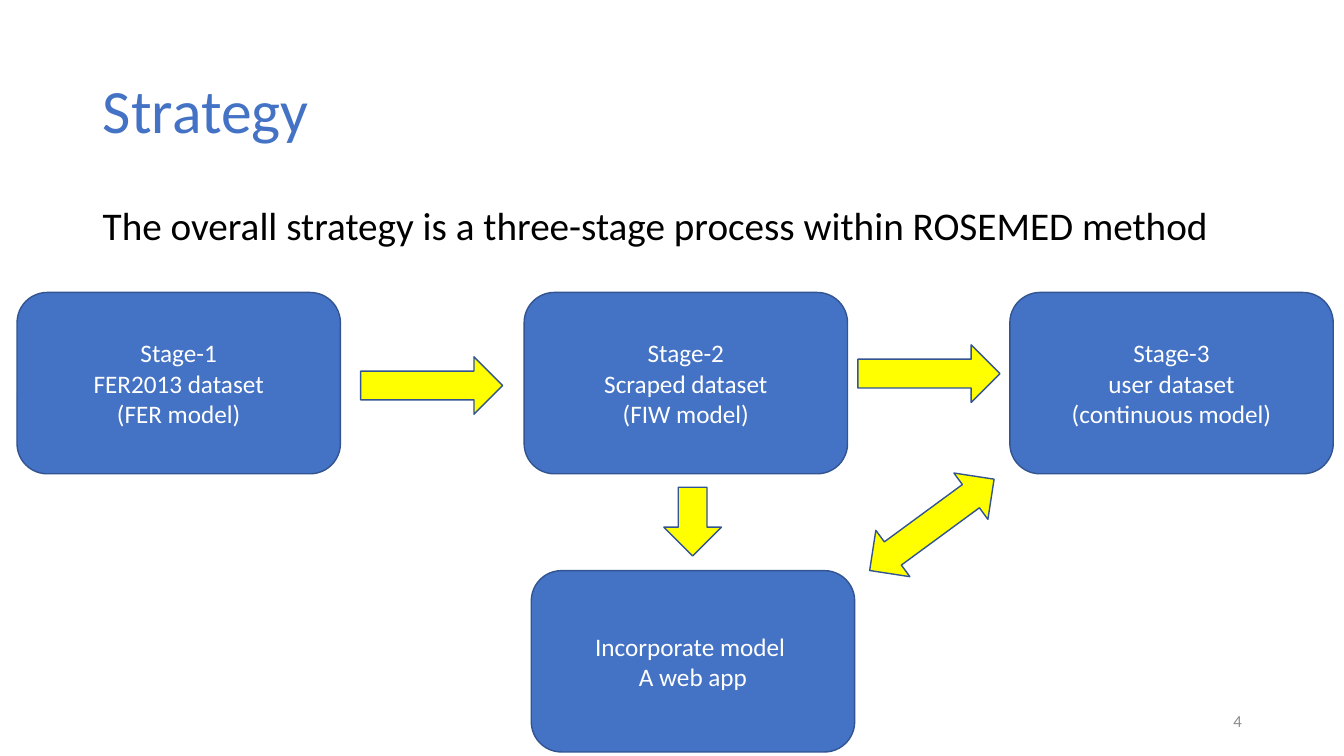
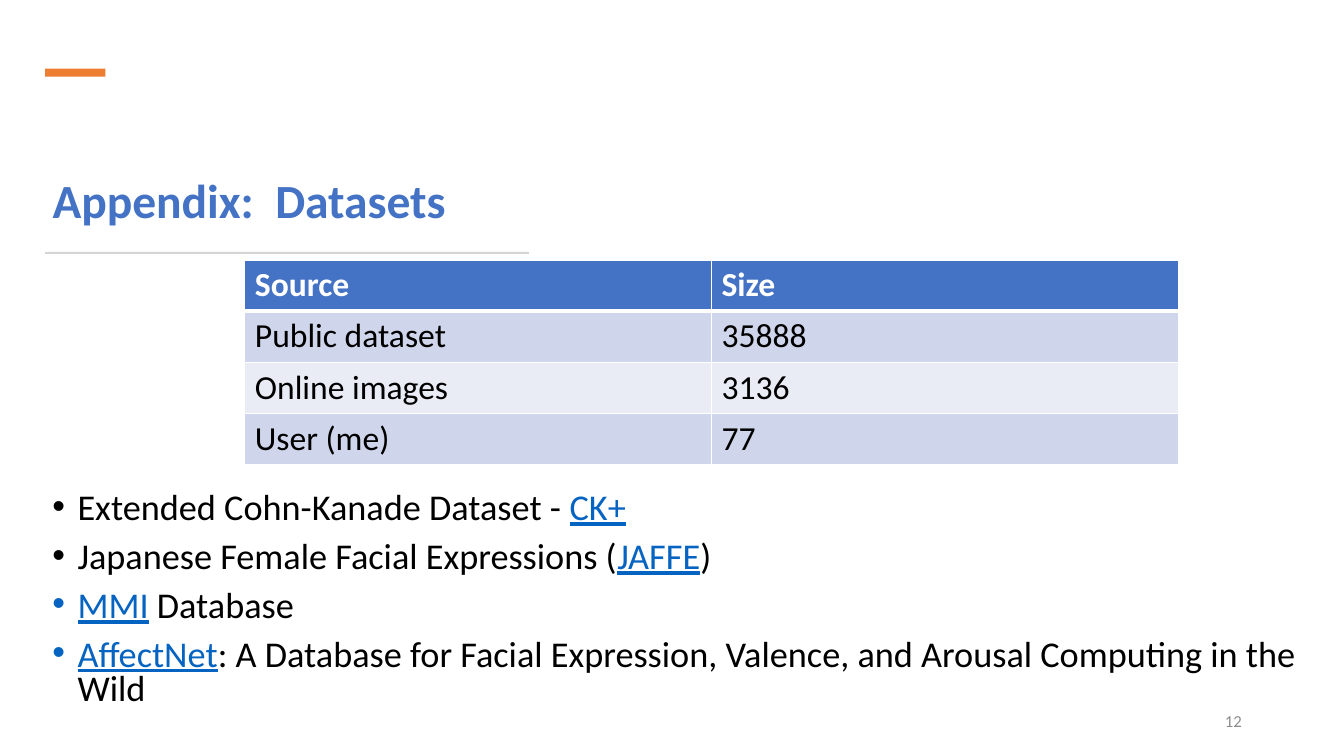
import pptx
import pptx.util
import pptx.dml.color
import pptx.enum.shapes
import pptx.enum.text
import pptx.oxml

Cm = pptx.util.Cm
Pt = pptx.util.Pt
Kind = pptx.enum.shapes.MSO_SHAPE
Align = pptx.enum.text.PP_ALIGN
Anchor = pptx.enum.text.MSO_ANCHOR

BLUE, EDGE, YELLOW, ORANGE = "4472C4", "325491", "FFFF00", "ED7D31"
BLACK, WHITE, GREY, RULE, LINK = "000000", "FFFFFF", "8C8C8C", "D5D5D5", "0563C1"
DARK, LIGHT = "CFD5EA", "E9EBF5"
NS = "http://schemas.openxmlformats.org/drawingml/2006/main"


def hue(code):
    return pptx.dml.color.RGBColor.from_string(code)


def write(frame, lines, font, par, body):
    for key, val in body.items():
        setattr(frame, key, val)
    for i, line in enumerate(lines):
        para = frame.add_paragraph() if i else frame.paragraphs[0]
        for key, val in par.items():
            setattr(para, key, val)
        for text, tint, under in line:
            run = para.add_run()
            run.text = text
            run.font.name = "Calibri"
            run.font.color.rgb = hue(tint)
            run.font.underline = under
            for key, val in font.items():
                setattr(run.font, key, val)


deck = pptx.Presentation()
deck.slide_width, deck.slide_height = Cm(33.87), Cm(19.05)
fixed = {"word_wrap": True, "auto_size": pptx.enum.text.MSO_AUTO_SIZE.NONE}

pages = [
    ("Strategy", "4", (2.34, 1.02, 29.21, 3.68), 44, False, Anchor.MIDDLE),
    ("Appendix:  Datasets", "12", (1.07, 2.87, 12.34, 3.02), 34, True, Anchor.BOTTOM),
]
slides = []
for name, num, spot, size, bold, hold in pages:
    slide = deck.slides.add_slide(deck.slide_layouts[5])
    title = slide.shapes.title
    title.left, title.top, title.width, title.height = map(Cm, spot)
    write(title.text_frame, [[(name, BLUE, False)]],
          {"size": Pt(size), "bold": bold},
          {"alignment": Align.LEFT, "line_spacing": 0.9},
          {**fixed, "vertical_anchor": hold})
    foot = slide.shapes.add_textbox(*map(Cm, (23.93, 17.65, 7.62, 1.02)))
    write(foot.text_frame, [[(num, GREY, False)]], {"size": Pt(12)},
          {"alignment": Align.RIGHT}, {**fixed, "vertical_anchor": Anchor.MIDDLE})
    slides.append(slide)
plan, data = slides

lead = plan.shapes.add_textbox(*map(Cm, (2.34, 5.08, 29.21, 2.29)))
write(lead.text_frame,
      [[("The overall strategy is a three-stage process within ROSEMED method", BLACK, False)]],
      {"size": Pt(28)}, {"line_spacing": 0.9, "space_before": Pt(10)}, fixed)

stages = [
    (0.43, 7.37, ["Stage-1", "FER2013 dataset", "(FER model)"]),
    (13.21, 7.37, ["Stage-2", "Scraped dataset", "(FIW model)"]),
    (25.45, 7.37, ["Stage-3", "user dataset", "(continuous model)"]),
    (13.39, 14.38, ["Incorporate model ", "A web app"]),
]
arrows = [
    (Kind.RIGHT_ARROW, 9.09, 8.99, 3.58, 0),
    (Kind.RIGHT_ARROW, 21.62, 8.69, 3.58, 0),
    (Kind.RIGHT_ARROW, 16.59, 12.42, 1.73, 90),
    (Kind.LEFT_RIGHT_ARROW, 21.54, 12.5, 3.89, 323.7),
]
parts = [(plan, Kind.ROUNDED_RECTANGLE, x, y, 8.15, 4.57, 0, BLUE, EDGE, text)
         for x, y, text in stages]
parts += [(plan, kind, x, y, wide, 1.45, turn, YELLOW, EDGE, [])
          for kind, x, y, wide, turn in arrows]
parts += [
    (data, Kind.RECTANGLE, 1.14, 1.73, 1.52, 0.2, 0, ORANGE, None, []),
    (data, Kind.RECTANGLE, 1.14, 6.35, 12.19, 0.05, 0, RULE, None, []),
]
for slide, kind, x, y, wide, high, turn, fill, edge, text in parts:
    shape = slide.shapes.add_shape(kind, Cm(x), Cm(y), Cm(wide), Cm(high))
    shape.rotation = turn
    shape.shadow.inherit = False
    shape.fill.solid()
    shape.fill.fore_color.rgb = hue(fill)
    if edge:
        shape.line.color.rgb = hue(edge)
        shape.line.width = Pt(1)
    else:
        shape.line.fill.background()
    write(shape.text_frame, [[(line, WHITE, False)] for line in text],
          {"size": Pt(18)}, {"alignment": Align.CENTER},
          {"word_wrap": True, "vertical_anchor": Anchor.MIDDLE})

rows = [("Source", "Size"), ("Public dataset", "35888"),
        ("Online images", "3136"), ("User (me)", "77")]
grid = data.shapes.add_table(4, 2, *map(Cm, (6.17, 6.55, 23.52, 5.08))).table
for r, row in enumerate(rows):
    head = r == 0
    for c, text in enumerate(row):
        cell = grid.cell(r, c)
        props = cell._tc.get_or_add_tcPr()
        for side in "LRTB":
            thick = (r, side) in [(0, "B"), (1, "T")]
            props.append(pptx.oxml.parse_xml(
                f'<a:ln{side} xmlns:a="{NS}" w="{Pt(3 if thick else 1)}"><a:solidFill>'
                f'<a:srgbClr val="{WHITE}"/></a:solidFill></a:ln{side}>'))
        cell.fill.solid()
        cell.fill.fore_color.rgb = hue(BLUE if head else DARK if r % 2 else LIGHT)
        write(cell.text_frame, [[(text, WHITE if head else BLACK, False)]],
              {"size": Pt(24), "bold": head}, {}, {})

items = [
    [("Extended Cohn-Kanade Dataset - ", BLACK, False), ("CK+", LINK, True)],
    [("Japanese Female Facial Expressions (", BLACK, False), ("JAFFE", LINK, True),
     (")", BLACK, False)],
    [("MMI", LINK, True), (" Database", BLACK, False)],
    [("AffectNet", LINK, True),
     (": A Database for Facial Expression, Valence, and Arousal Computing in the Wild",
      BLACK, False)],
]
notes = data.shapes.add_textbox(*map(Cm, (1.07, 12.29, 32.54, 6.07)))
write(notes.text_frame, items, {"size": Pt(25.9)},
      {"line_spacing": 0.8, "space_before": Pt(10)}, fixed)
for para in notes.text_frame.paragraphs:
    props = para._p.get_or_add_pPr()
    props.set("marL", str(Pt(18)))
    props.set("indent", str(-Pt(18)))
    for tag in (f'<a:buFont xmlns:a="{NS}" typeface="Arial"/>',
                f'<a:buChar xmlns:a="{NS}" char="•"/>'):
        props.append(pptx.oxml.parse_xml(tag))

deck.save("out.pptx")
